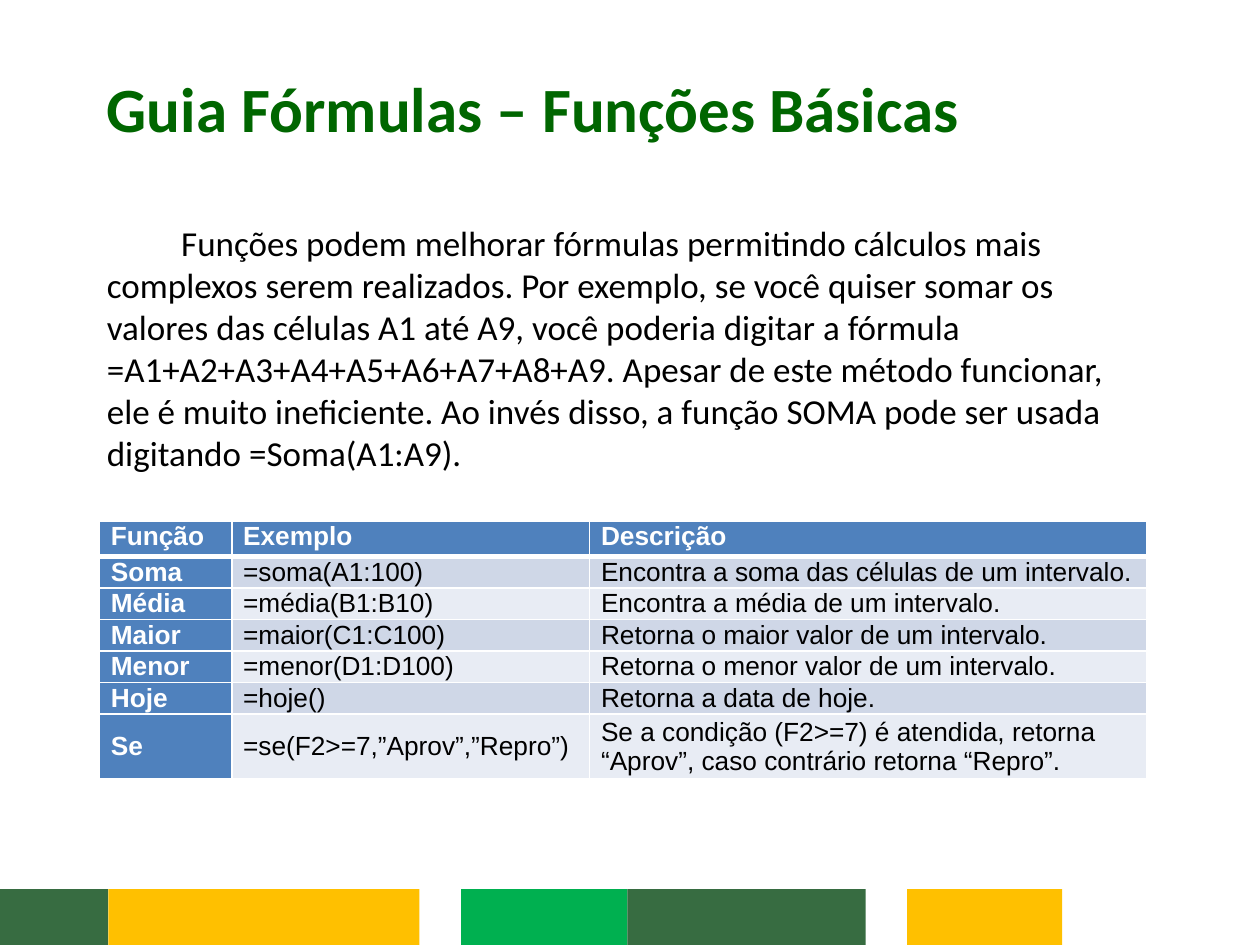
from dataclasses import dataclass
from typing import NamedTuple

from lxml import etree
from pptx import Presentation
from pptx.dml.color import RGBColor
from pptx.enum.shapes import MSO_SHAPE
from pptx.enum.text import MSO_ANCHOR
from pptx.oxml.ns import qn
from pptx.util import Inches, Pt

RECT = MSO_SHAPE.RECTANGLE
TOP = MSO_ANCHOR.TOP
MIDDLE = MSO_ANCHOR.MIDDLE
WIDE, HIGH = Inches(10), Inches(7.5)


@dataclass(frozen=True)
class Theme:
    """Colours, fonts and type sizes of the slide."""
    title: str = "006600"
    ink: str = "000000"
    white: str = "FFFFFF"
    blue: str = "4F81BD"
    bands: tuple = ("CFD7E7", "E8ECF4")
    moss: str = "376C41"
    gold: str = "FFC000"
    leaf: str = "00B050"
    text_font: str = "Calibri"
    cell_font: str = "Arial"
    title_size: int = 36
    body_size: int = 20
    cell_size: int = 15


class Box(NamedTuple):
    """An area of the slide in EMU."""
    x: int
    y: int
    w: int
    h: int

    def inner(self, x, y, w, h):
        """Return the area inside this one given in percent."""
        return Box(int(self.x + self.w * x / 100), int(self.y + self.h * y / 100),
                   int(self.w * w / 100), int(self.h * h / 100))


THEME = Theme()
TITLE = "Guia Fórmulas – Funções Básicas"
BODY = (
    "Funções podem melhorar fórmulas permitindo cálculos mais complexos serem "
    "realizados. Por exemplo, se você quiser somar os valores das células A1 até "
    "A9, você poderia digitar a fórmula =A1+A2+A3+A4+A5+A6+A7+A8+A9. Apesar de "
    "este método funcionar, ele é muito ineficiente. Ao invés disso, a função "
    "SOMA pode ser usada digitando =Soma(A1:A9)."
)
ROWS = (
    ("Função", "Exemplo", "Descrição"),
    ("Soma", "=soma(A1:100)", "Encontra a soma das células de um intervalo."),
    ("Média", "=média(B1:B10)", "Encontra a média de um intervalo."),
    ("Maior", "=maior(C1:C100)", "Retorna o maior valor de um intervalo."),
    ("Menor", "=menor(D1:D100)", "Retorna o menor valor de um intervalo."),
    ("Hoje", "=hoje()", "Retorna a data de hoje."),
    ("Se", "=se(F2>=7,”Aprov”,”Repro”)",
     "Se a condição (F2>=7) é atendida, retorna “Aprov”, caso contrário retorna “Repro”."),
)
COLS = (12.64, 34.18, 53.18)
ROW_SHARES = (13.6, 12.2, 12.2, 12.2, 12.2, 12.2, 25.4)
BARS = (
    (0, 8.6, THEME.moss),
    (8.6, 24.7, THEME.gold),
    (36.6, 13.2, THEME.leaf),
    (49.8, 18.9, THEME.moss),
    (72, 12.3, THEME.gold),
)


def add_run(para, text, font, size, color, bold=False):
    """Add one styled run to a paragraph."""
    run = para.add_run()
    run.text = text
    run.font.name = font
    run.font.size = Pt(size)
    run.font.bold = bold
    run.font.color.rgb = RGBColor.from_string(color)


def add_text(slide, box, anchor):
    """Add a wrapping text box and return its first paragraph."""
    frame = slide.shapes.add_textbox(*box).text_frame
    frame.word_wrap = True
    frame.vertical_anchor = anchor
    return frame.paragraphs[0]


def add_title(slide, box):
    """Place the slide title."""
    para = add_text(slide, box, MIDDLE)
    add_run(para, TITLE, THEME.text_font, THEME.title_size, THEME.title, True)


def add_body(slide, box):
    """Place the paragraph with its first line indented."""
    para = add_text(slide, box, TOP)
    props = para._p.get_or_add_pPr()
    props.set("marL", "0")
    props.set("indent", str(Inches(0.59)))
    add_run(para, BODY, THEME.text_font, THEME.body_size, THEME.ink)


def add_edges(cell, below):
    """Draw white borders round a cell with the given bottom width."""
    props = cell._tc.get_or_add_tcPr()
    for side, width in (("L", 1), ("R", 1), ("T", 1), ("B", below)):
        line = etree.SubElement(props, qn(f"a:ln{side}"), w=str(Pt(width)))
        fill = etree.SubElement(line, qn("a:solidFill"))
        etree.SubElement(fill, qn("a:srgbClr"), val=THEME.white)


def add_cell(cell, text, row, col):
    """Fill and style one table cell by its place."""
    head = row == 0
    strong = head or col == 0
    add_edges(cell, 3 if head else 1)
    cell.fill.solid()
    shade = THEME.blue if strong else THEME.bands[(row - 1) % 2]
    cell.fill.fore_color.rgb = RGBColor.from_string(shade)
    cell.margin_left = cell.margin_right = Inches(0.09)
    cell.margin_top = cell.margin_bottom = 0
    cell.vertical_anchor = TOP if head else MIDDLE
    color = THEME.white if strong else THEME.ink
    add_run(cell.text_frame.paragraphs[0], text, THEME.cell_font,
            THEME.cell_size, color, strong)


def add_grid(slide, box):
    """Place the table of functions."""
    table = slide.shapes.add_table(len(ROWS), len(COLS), *box).table
    for col, share in zip(table.columns, COLS):
        col.width = int(box.w * share / 100)
    for row, share in zip(table.rows, ROW_SHARES):
        row.height = int(box.h * share / 100)
    for r, texts in enumerate(ROWS):
        for c, text in enumerate(texts):
            add_cell(table.cell(r, c), text, r, c)


def add_bars(slide, box):
    """Place the coloured bars along the foot."""
    for left, width, color in BARS:
        bar = slide.shapes.add_shape(RECT, *box.inner(left, 0, width, 100))
        bar.shadow.inherit = False
        bar.fill.solid()
        bar.fill.fore_color.rgb = RGBColor.from_string(color)
        bar.line.fill.background()


def main():
    """Build the slide and save it."""
    deck = Presentation()
    deck.slide_width, deck.slide_height = WIDE, HIGH
    slide = deck.slides.add_slide(deck.slide_layouts[6])
    page = Box(0, 0, WIDE, HIGH)
    add_bars(slide, page.inner(0, 94.1, 100, 5.9))
    add_title(slide, page.inner(7.5, 0.67, 85, 21.47))
    add_grid(slide, page.inner(7.9, 55.2, 83.1, 27))
    add_body(slide, page.inner(7.5, 22.8, 82.7, 28.27))
    deck.save("out.pptx")


if __name__ == "__main__":
    main()
